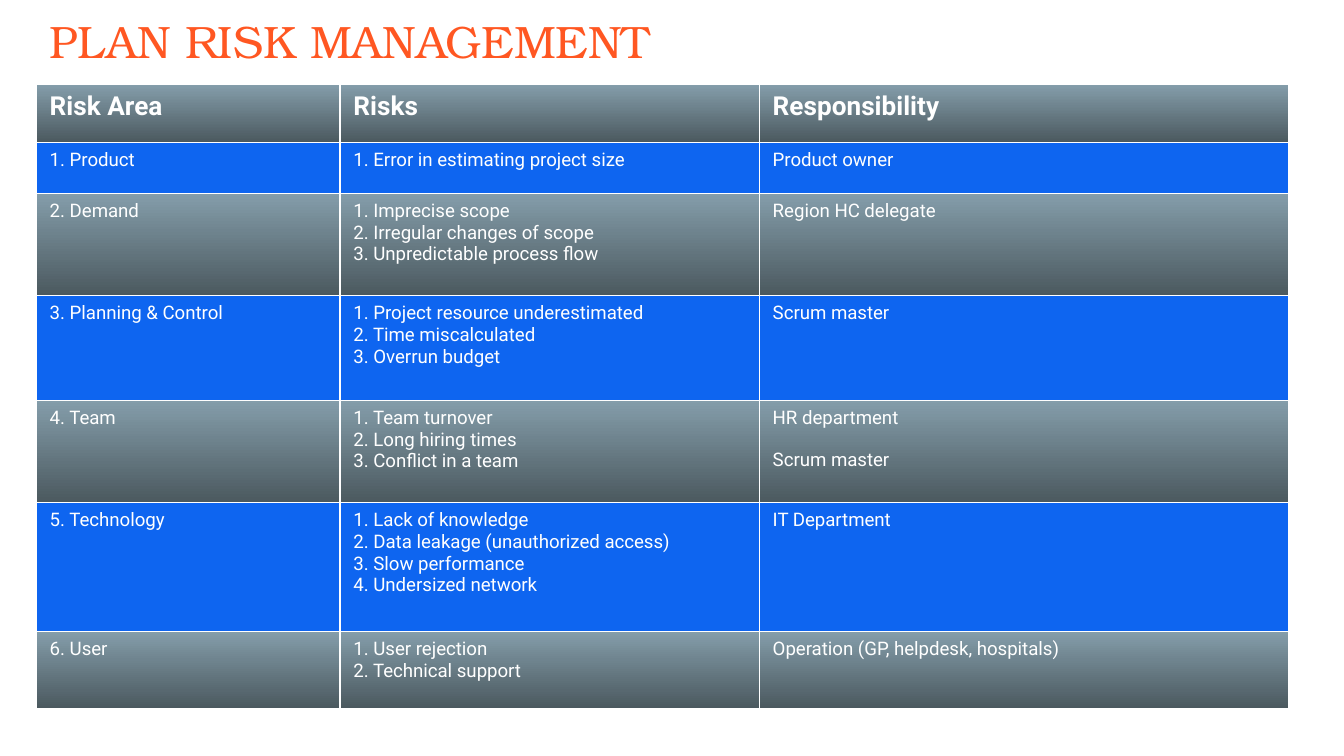
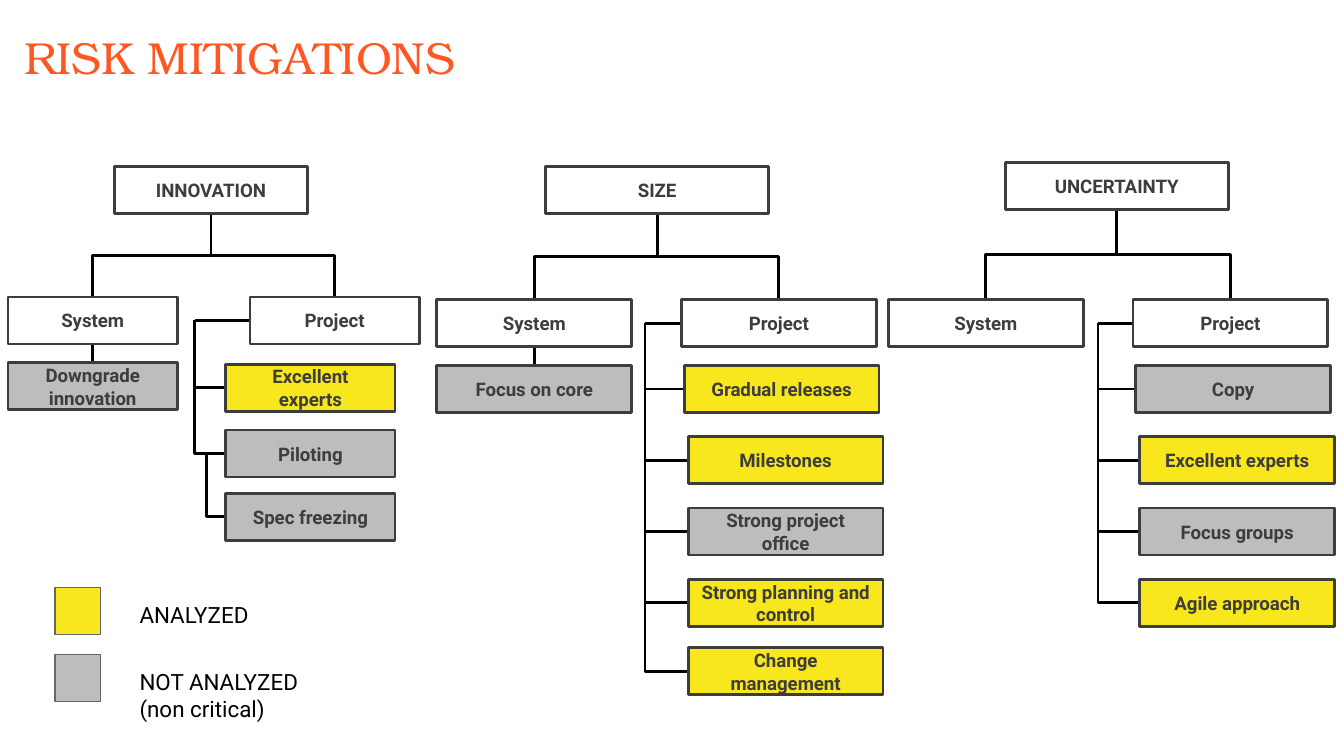
"""Build two risk slides: a responsibility table and the mitigation trees."""
from dataclasses import dataclass, replace
from typing import Any, Optional

from lxml.etree import SubElement
from pptx import Presentation
from pptx.dml.color import RGBColor
from pptx.enum.shapes import MSO_CONNECTOR, MSO_SHAPE
from pptx.enum.text import MSO_ANCHOR, MSO_AUTO_SIZE, PP_ALIGN
from pptx.oxml.ns import qn
from pptx.util import Inches, Pt


@dataclass(frozen=True)
class Theme:
    heading_font: str = "TeX Gyre Bonum"
    body_font: str = "Roboto"
    heading: RGBColor = RGBColor(0xFF, 0x57, 0x22)
    white: RGBColor = RGBColor(0xFF, 0xFF, 0xFF)
    black: RGBColor = RGBColor(0, 0, 0)
    ink: RGBColor = RGBColor(0x3D, 0x3D, 0x3D)
    blue: RGBColor = RGBColor(0x0E, 0x65, 0xF0)
    slate_light: RGBColor = RGBColor(0x84, 0x9D, 0xAA)
    slate_dark: RGBColor = RGBColor(0x4B, 0x59, 0x5F)
    analyzed: RGBColor = RGBColor(0xF8, 0xE7, 0x1C)
    not_analyzed: RGBColor = RGBColor(0xBD, 0xBD, 0xBD)
    swatch_edge: RGBColor = RGBColor(0x66, 0x66, 0x66)
    title_size: float = 24
    table_title_size: float = 24.3
    header_size: float = 14
    legend_size: float = 12
    body_size: float = 10
    line: float = 1.5
    hairline: float = 0.75


@dataclass(frozen=True)
class TextStyle:
    font: str
    size: float
    color: RGBColor
    bold: bool = False
    align: PP_ALIGN = PP_ALIGN.LEFT


@dataclass(frozen=True)
class Box:
    label: str
    left: float
    top: float
    width: float
    fill: Optional[RGBColor] = None
    rail: Optional[float] = None
    height: float = 0.35

    @property
    def center(self) -> float:
        return self.left + self.width / 2

    @property
    def middle(self) -> float:
        return self.top + self.height / 2

    @property
    def bottom(self) -> float:
        return self.top + self.height


@dataclass(frozen=True)
class Tree:
    factor: Box
    system: Box
    project: Box
    rail: float
    system_measures: tuple[Box, ...]
    project_measures: tuple[Box, ...]


@dataclass(frozen=True)
class RiskRow:
    height: float
    area: str
    risks: tuple[str, ...]
    owners: tuple[str, ...]


THEME = Theme()
YES, NO = THEME.analyzed, THEME.not_analyzed
TITLE = TextStyle(THEME.heading_font, THEME.title_size, THEME.heading)
TABLE_TITLE = replace(TITLE, size=THEME.table_title_size)
HEADER = TextStyle(THEME.body_font, THEME.header_size, THEME.white, True)
CELL = TextStyle(THEME.body_font, THEME.body_size, THEME.white)
NODE = TextStyle(THEME.body_font, THEME.body_size, THEME.ink, True, PP_ALIGN.CENTER)
LEGEND = TextStyle(THEME.body_font, THEME.legend_size, THEME.black)
FRAME = {"word_wrap": True, "auto_size": MSO_AUTO_SIZE.NONE, "vertical_anchor": MSO_ANCHOR.TOP} | {
    f"margin_{side}": Inches(0.1) for side in ("left", "right", "top", "bottom")}

COLUMNS = (2.26, 3.12, 3.94)
RISKS = (
    RiskRow(0.43, "Risk Area", ("Risks",), ("Responsibility",)),
    RiskRow(0.38, "1. Product", ("1. Error in estimating project size",), ("Product owner",)),
    RiskRow(0.76, "2. Demand",
            ("1. Imprecise scope", "2. Irregular changes of scope", "3. Unpredictable process flow"),
            ("Region HC delegate",)),
    RiskRow(0.78, "3. Planning & Control",
            ("1. Project resource underestimated", "2. Time miscalculated", "3. Overrun budget"),
            ("Scrum master",)),
    RiskRow(0.76, "4. Team",
            ("1. Team turnover", "2. Long hiring times", "3. Conflict in a team"),
            ("HR department", "Scrum master")),
    RiskRow(0.96, "5. Technology",
            ("1. Lack of knowledge", "2. Data leakage (unauthorized access)",
             "3. Slow performance", "4. Undersized network"),
            ("IT Department",)),
    RiskRow(0.57, "6. User", ("1. User rejection", "2. Technical support"),
            ("Operation (GP, helpdesk, hospitals)",)),
)

TREES = (
    Tree(Box("INNOVATION", 0.85, 1.24, 1.44),
         Box("System", 0.06, 2.21, 1.26), Box("Project", 1.86, 2.21, 1.26), 1.45,
         (Box("Downgrade innovation", 0.06, 2.7, 1.26, NO),),
         (Box("Excellent experts", 1.68, 2.71, 1.26, YES),
          Box("Piloting", 1.68, 3.2, 1.26, NO),
          Box("Spec freezing", 1.68, 3.67, 1.26, NO, 1.54))),
    Tree(Box("SIZE", 4.06, 1.24, 1.66),
         Box("System", 3.25, 2.23, 1.45), Box("Project", 5.07, 2.23, 1.45), 4.8,
         (Box("Focus on core", 3.25, 2.72, 1.45, NO),),
         (Box("Gradual releases", 5.09, 2.72, 1.45, YES),
          Box("Milestones", 5.12, 3.25, 1.45, YES),
          Box("Strong project office", 5.12, 3.78, 1.45, NO),
          Box("Strong planning and control", 5.12, 4.31, 1.45, YES),
          Box("Change management", 5.12, 4.82, 1.45, YES))),
    Tree(Box("UNCERTAINTY", 7.48, 1.21, 1.66),
         Box("System", 6.61, 2.23, 1.45), Box("Project", 8.43, 2.23, 1.45), 8.17,
         (),
         (Box("Copy", 8.45, 2.72, 1.45, NO),
          Box("Excellent experts", 8.48, 3.25, 1.45, YES),
          Box("Focus groups", 8.48, 3.78, 1.45, NO),
          Box("Agile approach", 8.48, 4.31, 1.45, YES))),
)
KEYS = (Box("ANALYZED", 0.41, 4.37, 0.34, YES),
        Box("NOT ANALYZED (non critical)", 0.41, 4.87, 0.34, NO))


def assign(target: Any, values: dict[str, Any]) -> None:
    for name, value in values.items():
        setattr(target, name, value)


def write(frame: Any, lines: tuple[str, ...], style: TextStyle, gap: float = 0) -> None:
    for index, line in enumerate(lines):
        paragraph = frame.add_paragraph() if index else frame.paragraphs[0]
        assign(paragraph, {"alignment": style.align, "space_before": Pt(gap if index else 0)})
        run = paragraph.add_run()
        run.text = line
        assign(run.font, {"name": style.font, "size": Pt(style.size), "bold": style.bold})
        run.font.color.rgb = style.color


def titled_slide(deck: Any, title: str, style: TextStyle,
                 left: float, top: float, width: float) -> Any:
    slide = deck.slides.add_slide(deck.slide_layouts[5])
    heading = slide.shapes.title
    assign(heading, {"left": Inches(left), "top": Inches(top),
                     "width": Inches(width), "height": Inches(0.63)})
    assign(heading.text_frame, FRAME)
    write(heading.text_frame, (title,), style)
    return slide


def draw_box(slide: Any, box: Box, edge: RGBColor, weight: float) -> Any:
    shape = slide.shapes.add_shape(MSO_SHAPE.RECTANGLE, Inches(box.left), Inches(box.top),
                                   Inches(box.width), Inches(box.height))
    shape.shadow.inherit = False
    if box.fill is None:
        shape.fill.background()
    else:
        shape.fill.solid()
        shape.fill.fore_color.rgb = box.fill
    shape.line.color.rgb = edge
    shape.line.width = Pt(weight)
    return shape


def draw_node(slide: Any, box: Box) -> None:
    frame = draw_box(slide, box, THEME.ink, THEME.line).text_frame
    assign(frame, FRAME | {"vertical_anchor": MSO_ANCHOR.MIDDLE})
    write(frame, (box.label,), NODE)


def draw_link(slide: Any, start: tuple[float, float], end: tuple[float, float],
              kind: MSO_CONNECTOR = MSO_CONNECTOR.STRAIGHT) -> Any:
    link = slide.shapes.add_connector(kind, *(Inches(value) for value in (*start, *end)))
    link.line.color.rgb = THEME.black
    link.line.width = Pt(THEME.line)
    properties = link._element.spPr
    SubElement(properties, qn("a:effectLst"))
    return properties


def draw_fork(slide: Any, parent: Box, child: Box) -> None:
    x, y = (parent.center + child.center) / 2, (parent.bottom + child.top) / 2
    across, down = (child.center - parent.center) / 2, (child.top - parent.bottom) / 2
    properties = draw_link(slide, (x - down, y + across), (x + down, y - across),
                           MSO_CONNECTOR.ELBOW)
    properties.find(qn("a:xfrm")).set("rot", "5400000")


def draw_tree(slide: Any, tree: Tree) -> None:
    for branch in (tree.system, tree.project):
        draw_fork(slide, tree.factor, branch)
    for measure in tree.system_measures:
        draw_link(slide, (tree.system.center, tree.system.bottom), (measure.center, measure.top))
    draw_link(slide, (tree.project.left, tree.project.middle), (tree.rail, tree.project.middle))
    above = tree.project
    for measure in tree.project_measures:
        properties = draw_link(slide, (measure.left, measure.middle),
                               (measure.rail or tree.rail, above.middle), MSO_CONNECTOR.ELBOW)
        properties.find(qn("a:prstGeom")).set("prst", "bentConnector2")
        above = measure
    for box in (tree.factor, tree.system, tree.project,
                *tree.system_measures, *tree.project_measures):
        draw_node(slide, box)


def draw_key(slide: Any, key: Box) -> None:
    draw_box(slide, key, THEME.swatch_edge, THEME.hairline)
    caption = slide.shapes.add_textbox(Inches(0.94), Inches(key.top), Inches(1.64), Inches(0.6))
    assign(caption.text_frame, FRAME)
    write(caption.text_frame, (key.label,), LEGEND)


def format_cell(cell: Any, striped: bool) -> None:
    properties = cell._tc.get_or_add_tcPr()
    for side in ("lnL", "lnR", "lnT", "lnB"):
        border = SubElement(properties, qn(f"a:{side}"), w=str(Pt(THEME.hairline)))
        fill = SubElement(border, qn("a:solidFill"))
        SubElement(fill, qn("a:srgbClr"), val=str(THEME.white))
    if striped:
        cell.fill.solid()
        cell.fill.fore_color.rgb = THEME.blue
        return
    cell.fill.gradient()
    cell.fill.gradient_angle = 270
    for stop, color in zip(cell.fill.gradient_stops, (THEME.slate_light, THEME.slate_dark)):
        stop.color.rgb = color


def draw_risks(slide: Any) -> None:
    table = slide.shapes.add_table(len(RISKS), len(COLUMNS), Inches(0.27), Inches(0.63),
                                   Inches(sum(COLUMNS)),
                                   Inches(sum(row.height for row in RISKS))).table
    for column, width in zip(table.columns, COLUMNS):
        column.width = Inches(width)
    for index, risk in enumerate(RISKS):
        table.rows[index].height = Inches(risk.height)
        contents = (((risk.area,), 0), (risk.risks, 0), (risk.owners, 11))
        for cell, (lines, gap) in zip(table.rows[index].cells, contents):
            format_cell(cell, index % 2 == 1)
            write(cell.text_frame, lines, CELL if index else HEADER, gap)


def main() -> None:
    deck = Presentation()
    deck.slide_width = Inches(10)
    deck.slide_height = Inches(10) * 9 // 16
    draw_risks(titled_slide(deck, "PLAN RISK MANAGEMENT", TABLE_TITLE, 0.27, 0, 9.32))
    mitigations = titled_slide(deck, "RISK MITIGATIONS", TITLE, 0.08, 0.12, 9.84)
    for tree in TREES:
        draw_tree(mitigations, tree)
    for key in KEYS:
        draw_key(mitigations, key)
    deck.save("out.pptx")


if __name__ == "__main__":
    main()
